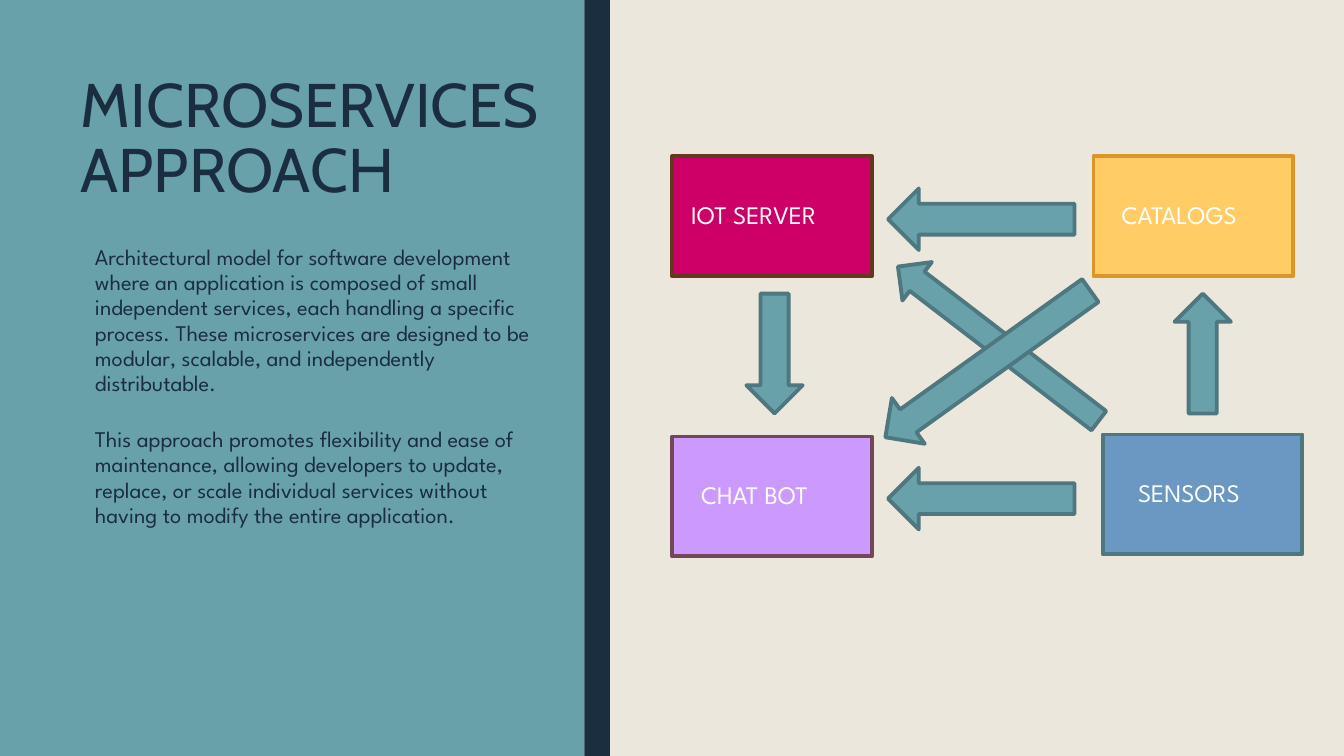
from dataclasses import dataclass

from lxml import etree
from pptx import Presentation
from pptx import util as u
from pptx.dml.color import RGBColor
from pptx.enum import shapes, text
from pptx.oxml import ns


@dataclass(frozen=True)
class Theme:
    paper: str = "EBE7DD"
    teal: str = "69A1AB"
    edge: str = "4E777F"
    navy: str = "1A2E40"
    white: str = "FFFFFF"
    head: str = "Cabin"
    body: str = "League Spartan"
    big: int = 44
    mid: int = 18
    small: int = 16
    line: float = 2.75


def color(code):
    return RGBColor.from_string(code)


def write(frame, lines, font, size, ink, space=None, after=0, gap=0, indent=0):
    frame.word_wrap = True
    frame.auto_size = text.MSO_AUTO_SIZE.NONE
    frame.vertical_anchor = text.MSO_ANCHOR.TOP
    for i, line in enumerate(lines):
        para = frame.add_paragraph() if i else frame.paragraphs[0]
        props = para._p.get_or_add_pPr()
        props.set("marL", str(u.Cm(indent)))
        props.set("indent", "0")
        etree.SubElement(props, ns.qn("a:buNone"))
        para.alignment = text.PP_ALIGN.LEFT
        para.line_spacing = space
        para.space_before = u.Pt(gap if i else 0)
        para.space_after = u.Pt(after)
        run = para.add_run()
        run.text = line
        run.font.name = font
        run.font.size = u.Pt(size)
        run.font.color.rgb = color(ink)


class Deck:
    def __init__(self, theme):
        self.theme = theme
        self.file = Presentation()
        self.file.slide_width = u.Cm(33.87)
        self.file.slide_height = u.Cm(19.05)
        self.slide = self.file.slides.add_slide(self.file.slide_layouts[1])
        fill = self.slide.background.fill
        fill.solid()
        fill.fore_color.rgb = color(theme.paper)

    def shape(self, home, kind, area, fill, line=None, turn=0):
        item = home.add_shape(kind, *map(u.Cm, area))
        item.shadow.inherit = False
        item.fill.solid()
        item.fill.fore_color.rgb = color(fill)
        if line:
            item.line.color.rgb = color(line)
            item.line.width = u.Pt(self.theme.line)
        else:
            item.line.fill.background()
        item.rotation = turn
        return item

    def panel(self, area, fill):
        home = self.slide.shapes
        item = self.shape(home, shapes.MSO_SHAPE.RECTANGLE, area, fill)
        home.title._element.addprevious(item._element)

    def holder(self, index, area, lines, **style):
        item = self.slide.placeholders[index]
        item.left, item.top, item.width, item.height = map(u.Cm, area)
        write(item.text_frame, lines, ink=self.theme.navy, **style)

    def node(self, name, left, top, fill, line, inset):
        home = self.slide.shapes.add_group_shape().shapes
        self.shape(home, shapes.MSO_SHAPE.RECTANGLE, (left, top, 5.03, 3.02),
                   fill, line)
        area = left + inset, top + 0.95, 4.19, 1.02
        label = home.add_textbox(*map(u.Cm, area))
        write(label.text_frame, [name], self.theme.body, self.theme.mid,
              self.theme.white)

    def arrow(self, kind, area, turn=0):
        self.shape(self.slide.shapes, kind, area, self.theme.teal,
                   self.theme.edge, turn)


def main():
    theme = Theme()
    deck = Deck(theme)
    deck.panel((0, 0, 14.73, 19.05), theme.teal)
    deck.panel((14.73, 0, 0.64, 19.05), theme.navy)

    deck.holder(0, (1.78, 1.75, 12.85, 5.66), ["MICROSERVICES APPROACH"],
                font=theme.head, size=theme.big, space=0.89, after=6)
    deck.holder(1, (1.14, 6.05, 12.85, 9.65), [
        "Architectural model for software development where an application "
        "is composed of small independent services, each handling a specific "
        "process. These microservices are designed to be modular, scalable, "
        "and independently distributable.",
        "This approach promotes flexibility and ease of maintenance, allowing "
        "developers to update, replace, or scale individual services without "
        "having to modify the entire application.",
    ], font=theme.body, size=theme.small, space=0.94, after=2, gap=20,
        indent=1)

    for node in (
        ("CATALOGS", 27.56, 3.94, "FFCC66", "DC9528", 0.46),
        ("SENSORS", 27.79, 10.95, "6A98C2", theme.edge, 0.64),
        ("CHAT BOT", 16.94, 11, "CC99FF", "73465A", 0.48),
        ("IOT SERVER", 16.94, 3.94, "CC0066", "653721", 0.23),
    ):
        deck.node(*node)

    kind = shapes.MSO_SHAPE
    deck.arrow(kind.UP_ARROW, (29.6, 7.4, 1.42, 3.02))
    deck.arrow(kind.DOWN_ARROW, (18.81, 7.4, 1.42, 3.02))
    for top in (4.75, 11.79):
        deck.arrow(kind.LEFT_ARROW, (22.38, top, 4.7, 1.55))
    deck.arrow(kind.LEFT_ARROW, (21.97, 8.05, 6.38, 1.22), 37.5)
    deck.arrow(kind.LEFT_ARROW, (21.72, 8.46, 6.35, 1.42), 324.4)

    deck.file.save("out.pptx")


if __name__ == "__main__":
    main()
